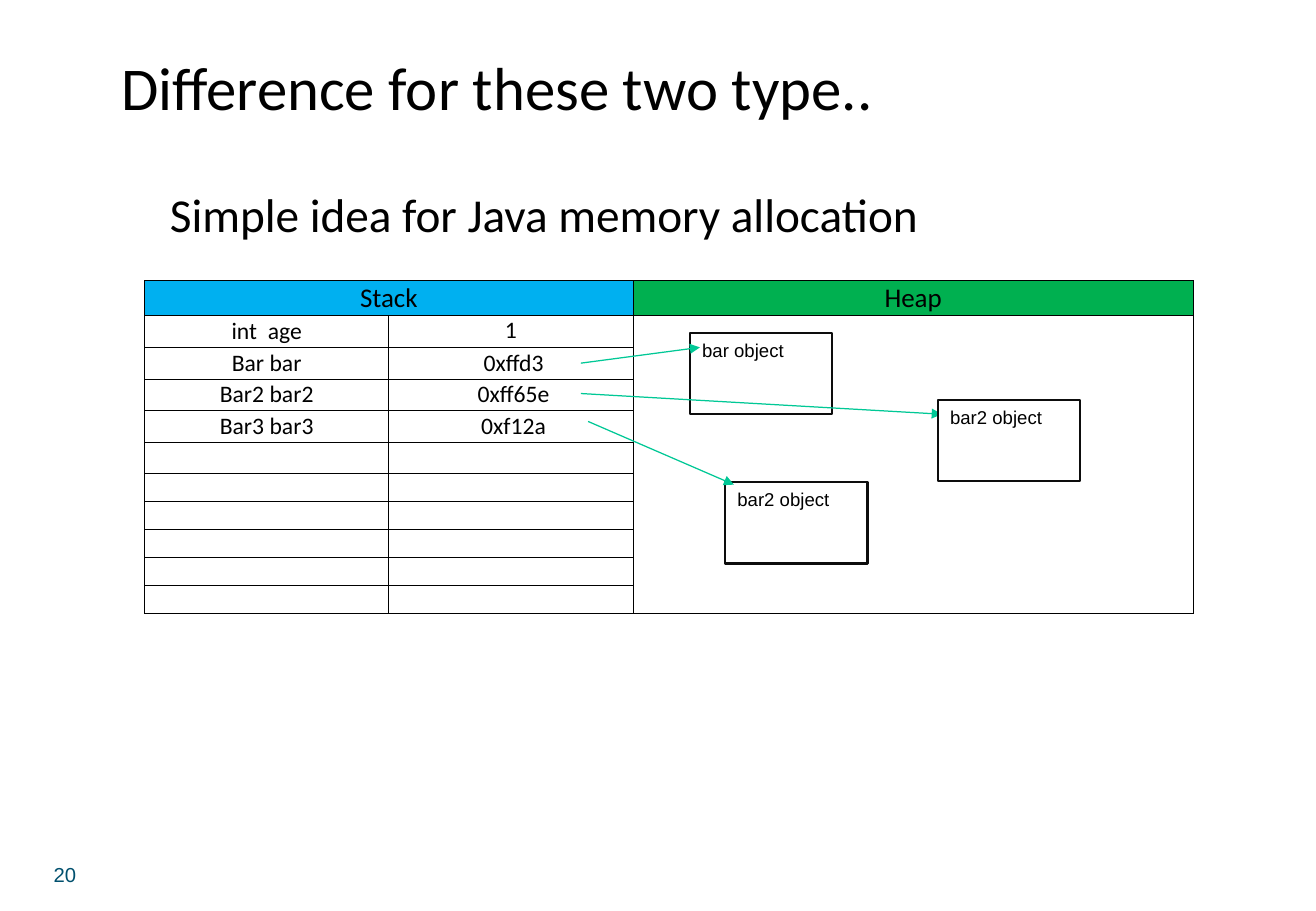
from lxml import etree
from pptx import Presentation
from pptx import util as u
from pptx.dml import color
from pptx.enum import shapes, text
from pptx.oxml import ns


def rgb(value):
    return color.RGBColor.from_string(value)


def write(frame, words, size, font, ink="000000", align=text.PP_ALIGN.LEFT):
    paragraph = frame.paragraphs[0]
    paragraph.alignment = align
    run = paragraph.add_run()
    run.text = words
    for key, value in {"size": u.Pt(size), "name": font}.items():
        setattr(run.font, key, value)
    run.font.color.rgb = rgb(ink)


deck = Presentation()
deck.slide_width, deck.slide_height = u.Inches(10.83), u.Inches(7.5)
slide = deck.slides.add_slide(deck.slide_layouts[6])

CENTER = text.PP_ALIGN.CENTER
captions = [
    (0.23, 7.05, 0.61, 0.23, "20", 12, "Arial", "00506E", CENTER),
    (0.9, 0.36, 8.93, 0.71, "Difference for these two type..", 36, "Calibri"),
    (1.3, 1.48, 8.53, 0.57, "Simple idea for Java memory allocation", 28, "Calibri"),
]
for left, top, width, height, *wording in captions:
    caption = slide.shapes.add_textbox(*map(u.Inches, (left, top, width, height)))
    caption.text_frame.word_wrap = True
    write(caption.text_frame, *wording)

column_widths = [2.01, 2.01, 4.61]
row_heights = [0.29] + [0.26] * 5 + [0.23] * 5
variables = [
    ("int  age", "1"),
    ("Bar bar", " 0xffd3"),
    ("Bar2 bar2", " 0xff65e"),
    ("Bar3 bar3", " 0xf12a"),
]
entries = {(0, 0): "Stack", (0, 2): "Heap"}
for row, pair in enumerate(variables, 1):
    for column, words in enumerate(pair):
        entries[row, column] = words
header_fills = ["00B0F0", "00B0F0", "00B050"]

memory = slide.shapes.add_table(
    len(row_heights), len(column_widths), *map(u.Inches, (1.19, 2.31, 8.64, 2.74))
).table
for column, width in zip(memory.columns, column_widths):
    column.width = u.Inches(width)
for row, height in zip(memory.rows, row_heights):
    row.height = u.Inches(height)
memory.cell(0, 0).merge(memory.cell(0, 1))
memory.cell(1, 2).merge(memory.cell(10, 2))

cell_format = {
    "margin_left": 0, "margin_right": 0, "margin_top": 0, "margin_bottom": 0,
    "vertical_anchor": text.MSO_ANCHOR.MIDDLE,
}
for row in range(len(row_heights)):
    for column in range(len(column_widths)):
        cell = memory.cell(row, column)
        for key, value in cell_format.items():
            setattr(cell, key, value)
        properties = cell._tc.get_or_add_tcPr()
        for side in ("a:lnL", "a:lnR", "a:lnT", "a:lnB"):
            border = etree.SubElement(properties, ns.qn(side), w=str(u.Pt(0.5)))
            paint = etree.SubElement(border, ns.qn("a:solidFill"))
            etree.SubElement(paint, ns.qn("a:srgbClr"), val="000000")
        if row == 0:
            cell.fill.solid()
            cell.fill.fore_color.rgb = rgb(header_fills[column])
        else:
            cell.fill.background()
        if (row, column) in entries:
            size = 14 if row else 16
            write(cell.text_frame, entries[row, column], size, "Calibri", align=CENTER)
        else:
            paragraph = cell.text_frame.paragraphs[0]
            etree.SubElement(paragraph._p, ns.qn("a:endParaRPr"), sz="1000")
memory.cell(1, 1).vertical_anchor = text.MSO_ANCHOR.TOP

heap_items = [
    ("object", 5.68, 2.74, "bar object"),
    ("reference", 4.78, 2.99, 5.76, 2.86),
    ("reference", 4.78, 3.24, 7.75, 3.41),
    ("object", 5.97, 3.97, "bar2 object"),
    ("object", 7.72, 3.29, "bar2 object"),
    ("reference", 4.84, 3.47, 6.04, 3.99),
]
for kind, *details in heap_items:
    if kind == "object":
        left, top, label = details
        heap_object = slide.shapes.add_shape(
            shapes.MSO_SHAPE.RECTANGLE, *map(u.Inches, (left, top, 1.17, 0.67))
        )
        heap_object.shadow.inherit = False
        heap_object.fill.solid()
        heap_object.fill.fore_color.rgb = rgb("FFFFFF")
        heap_object.line.color.rgb = rgb("0D0D0D")
        heap_object.line.width = u.Pt(1.25)
        heap_object.text_frame.vertical_anchor = text.MSO_ANCHOR.TOP
        heap_object.text_frame.word_wrap = True
        write(heap_object.text_frame, label, 11, "Arial")
    else:
        reference = slide.shapes.add_connector(
            shapes.MSO_CONNECTOR.STRAIGHT, *map(u.Inches, details)
        )
        reference.line.color.rgb = rgb("00C896")
        reference.line.width = u.Pt(0.75)
        etree.SubElement(reference.line._get_or_add_ln(), ns.qn("a:tailEnd"), type="triangle")
        etree.SubElement(reference._element.spPr, ns.qn("a:effectLst"))

deck.save("out.pptx")
